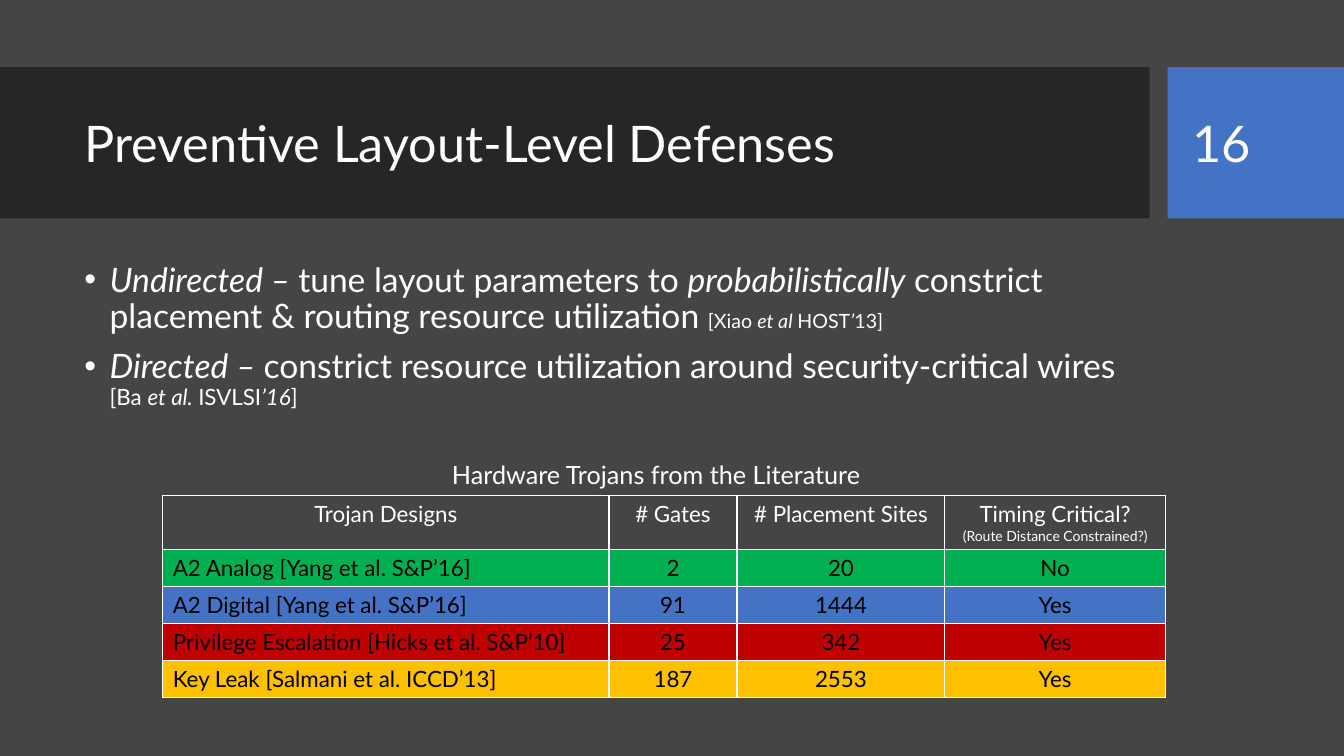
from dataclasses import dataclass

from lxml import etree
from pptx import Presentation
from pptx import util as u
from pptx.dml.color import RGBColor
from pptx.enum import shapes, text
from pptx.oxml import ns

PX = 9525
FONT = "Lato"
WHITE = RGBColor(0xFF, 0xFF, 0xFF)
BLACK = RGBColor(0x00, 0x00, 0x00)
GREY = RGBColor(0x45, 0x45, 0x45)
DARK = RGBColor(0x26, 0x26, 0x26)
BLUE = RGBColor(0x44, 0x72, 0xC4)
GREEN = RGBColor(0x00, 0xB0, 0x50)
RED = RGBColor(0xC0, 0x00, 0x00)
GOLD = RGBColor(0xFF, 0xC0, 0x00)


@dataclass(frozen=True)
class Box:
    left: int
    top: int
    width: int
    height: int

    def emu(self) -> list[int]:
        return [n * PX for n in (self.left, self.top, self.width, self.height)]


@dataclass(frozen=True)
class Panel:
    box: Box
    fill: RGBColor


@dataclass(frozen=True)
class Label:
    box: Box
    words: str
    size: int
    anchor: text.MSO_ANCHOR = text.MSO_ANCHOR.MIDDLE


@dataclass(frozen=True)
class Run:
    words: str
    size: int
    slant: bool = False


@dataclass(frozen=True)
class Trojan:
    name: str
    gates: int
    sites: int
    timing: str
    fill: RGBColor


PANELS = [
    Panel(Box(0, 64, 1095, 144), DARK),
    Panel(Box(1112, 64, 168, 144), BLUE),
]
LABELS = [
    Label(Box(71, 79, 1009, 113), "Preventive Layout-Level Defenses", 36),
    Label(Box(1126, 79, 121, 114), "16", 36),
    Label(Box(421, 433, 438, 38), "Hardware Trojans from the Literature", 18,
          text.MSO_ANCHOR.TOP),
]
BODY = Box(71, 246, 1009, 371)
POINTS = [
    [
        Run("Undirected – ", 24, True),
        Run("tune layout parameters to ", 24),
        Run("probabilistically", 24, True),
        Run(" constrict placement & routing resource utilization ", 24),
        Run("[Xiao ", 14),
        Run("et al ", 14, True),
        Run("HOST", 14),
        Run("’", 14, True),
        Run("13]", 14),
    ],
    [
        Run("Directed – ", 24, True),
        Run("constrict resource utilization around security-critical wires ", 24),
        Run("[Ba ", 16),
        Run("et al. ", 16, True),
        Run("ISVLSI", 16),
        Run("’16", 16, True),
        Run("]", 16),
    ],
]
GRID = Box(155, 472, 955, 190)
WIDTHS = [425, 122, 198, 210]
HEAD = 50
ROW = 35
TITLES = ["Trojan Designs", "# Gates", "# Placement Sites", "Timing Critical?"]
NOTE = "(Route Distance Constrained?)"
TROJANS = [
    Trojan("A2 Analog [Yang et al. S&P’16]", 2, 20, "No", GREEN),
    Trojan("A2 Digital [Yang et al. S&P’16]", 91, 1444, "Yes", BLUE),
    Trojan("Privilege Escalation [Hicks et al. S&P’10]", 25, 342, "Yes", RED),
    Trojan("Key Leak [Salmani et al. ICCD’13]", 187, 2553, "Yes", GOLD),
]


def style(para, size: int, color: RGBColor = WHITE) -> None:
    para.font.name = FONT
    para.font.size = u.Pt(size)
    para.font.color.rgb = color


def draw_panel(slide, panel: Panel) -> None:
    shape = slide.shapes.add_shape(shapes.MSO_SHAPE.RECTANGLE, *panel.box.emu())
    shape.shadow.inherit = False
    shape.fill.solid()
    shape.fill.fore_color.rgb = panel.fill
    shape.line.fill.background()


def add_frame(slide, box: Box):
    frame = slide.shapes.add_textbox(*box.emu()).text_frame
    frame.word_wrap = True
    return frame


def draw_label(slide, label: Label) -> None:
    frame = add_frame(slide, label.box)
    frame.vertical_anchor = label.anchor
    para = frame.paragraphs[0]
    para.text = label.words
    style(para, label.size)


def draw_points(slide, box: Box, points: list[list[Run]]) -> None:
    frame = add_frame(slide, box)
    for i, runs in enumerate(points):
        para = frame.add_paragraph() if i else frame.paragraphs[0]
        props = para._p.get_or_add_pPr()
        props.set("marL", str(24 * PX))
        props.set("indent", str(-24 * PX))
        etree.SubElement(props, ns.qn("a:buFont"), typeface="Arial")
        etree.SubElement(props, ns.qn("a:buChar"), char="•")
        para.line_spacing = 0.9
        if i:
            para.space_before = u.Pt(10)
        para.font.name = FONT
        para.font.color.rgb = WHITE
        for part in runs:
            run = para.add_run()
            run.text = part.words
            run.font.size = u.Pt(part.size)
            run.font.italic = part.slant


def add_edges(cell) -> None:
    props = cell._tc.get_or_add_tcPr()
    for side in "LRTB":
        line = etree.SubElement(props, ns.qn(f"a:ln{side}"), w=str(u.Pt(1)))
        fill = etree.SubElement(line, ns.qn("a:solidFill"))
        etree.SubElement(fill, ns.qn("a:srgbClr"), val=str(WHITE))


def fill_cell(cell, words: str, color: RGBColor, left: bool = False) -> None:
    add_edges(cell)
    para = cell.text_frame.paragraphs[0]
    para.text = words
    para.alignment = text.PP_ALIGN.LEFT if left else text.PP_ALIGN.CENTER
    style(para, 16, color)


def draw_table(slide, box: Box, trojans: list[Trojan]) -> None:
    size = len(trojans) + 1, len(TITLES)
    table = slide.shapes.add_table(*size, *box.emu()).table
    table.first_row = table.horz_banding = False
    for col, width in zip(table.columns, WIDTHS):
        col.width = width * PX
    for i, row in enumerate(table.rows):
        row.height = (ROW if i else HEAD) * PX
    for j, title in enumerate(TITLES):
        cell = table.cell(0, j)
        fill_cell(cell, title, WHITE)
        cell.fill.background()
    para = table.cell(0, len(TITLES) - 1).text_frame.add_paragraph()
    para.text = NOTE
    para.alignment = text.PP_ALIGN.CENTER
    style(para, 10)
    for i, item in enumerate(trojans, 1):
        facts = item.name, item.gates, item.sites, item.timing
        for j, fact in enumerate(facts):
            cell = table.cell(i, j)
            fill_cell(cell, str(fact), BLACK, j == 0)
            cell.fill.solid()
            cell.fill.fore_color.rgb = item.fill


def main() -> None:
    deck = Presentation()
    deck.slide_width, deck.slide_height = 1280 * PX, 720 * PX
    slide = deck.slides.add_slide(deck.slide_layouts[6])
    slide.background.fill.solid()
    slide.background.fill.fore_color.rgb = GREY
    for panel in PANELS:
        draw_panel(slide, panel)
    for label in LABELS:
        draw_label(slide, label)
    draw_points(slide, BODY, POINTS)
    draw_table(slide, GRID, TROJANS)
    deck.save("out.pptx")


if __name__ == "__main__":
    main()
